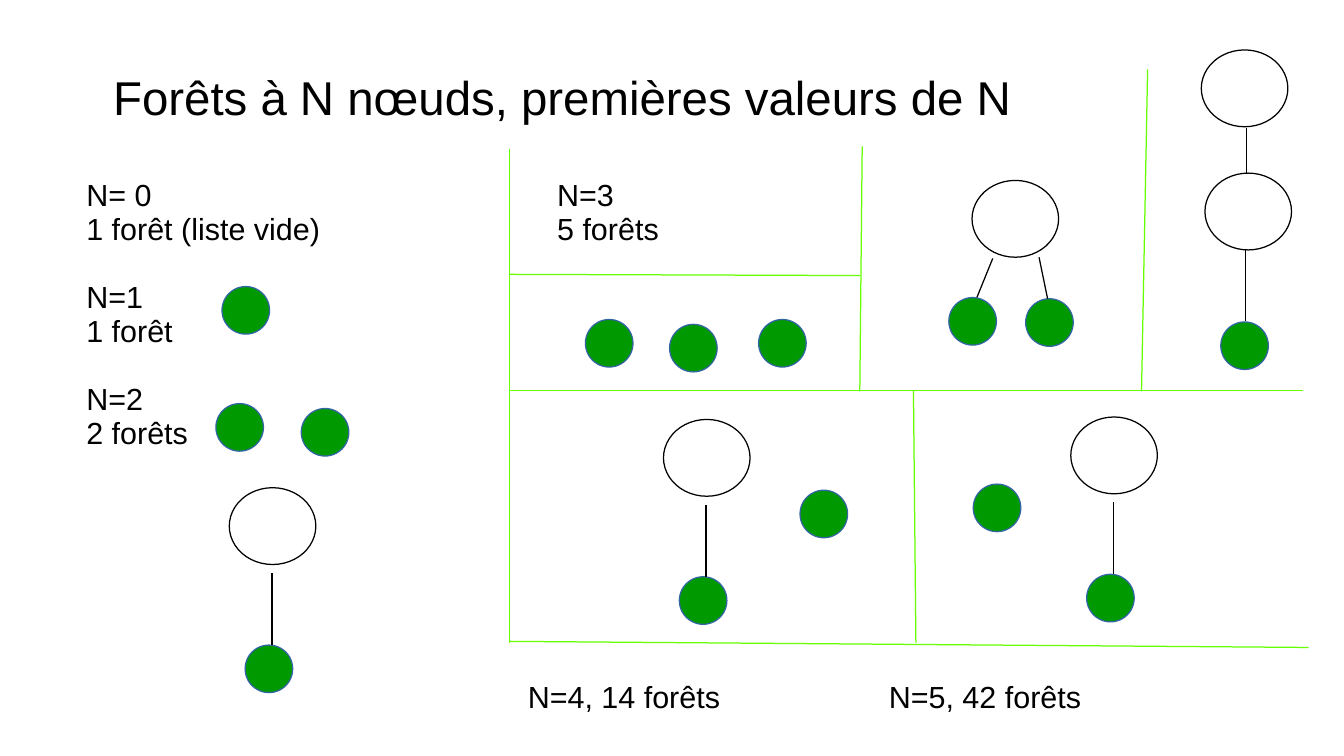
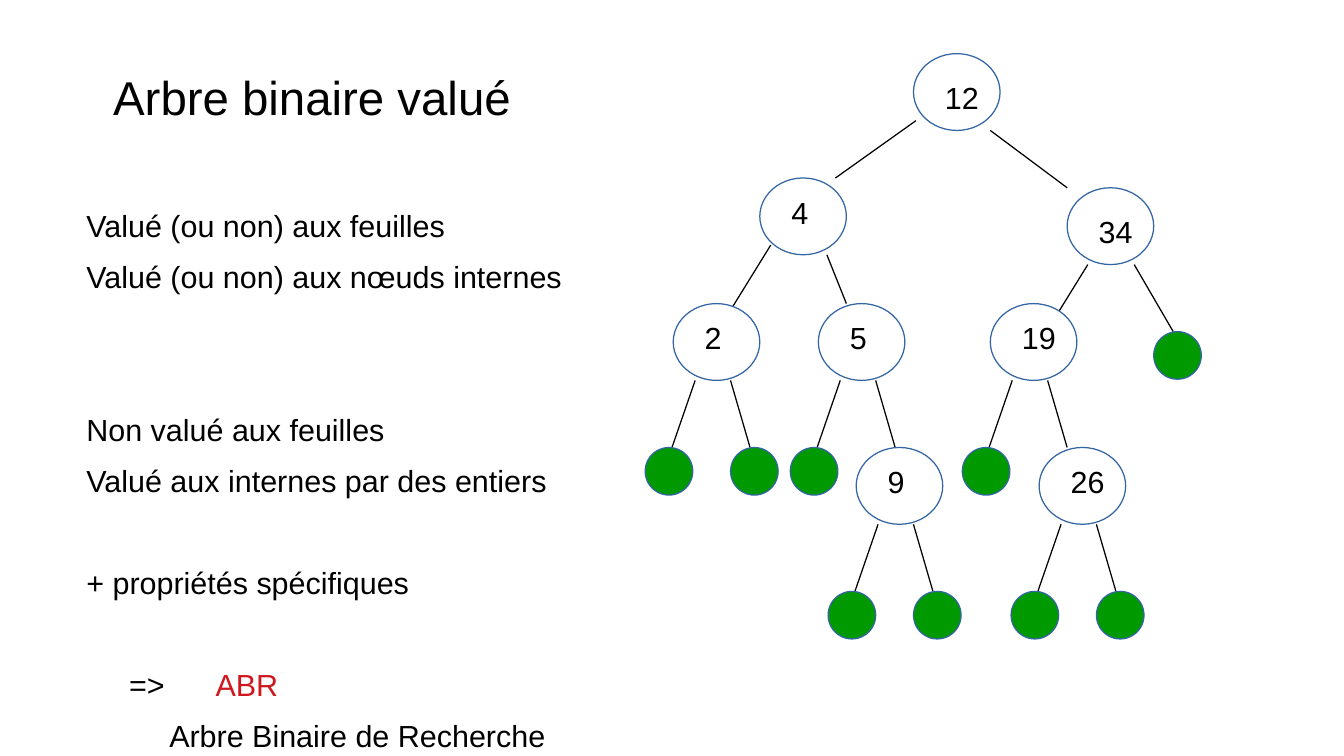
from pptx import Presentation
from pptx.dml.color import RGBColor
from pptx.enum import shapes, text
from pptx.oxml import parse_xml
from pptx.oxml.ns import nsdecls, qn
from pptx.util import Inches, Pt
from lxml import etree

HUES = {"ink": "000000", "paper": "FFFFFF", "leaf": "009900",
        "rim": "3465A4", "grid": "66FF00", "key": "CE181E"}
FONT = "Arial"
NODE = (0.71, 0.63)
LEAF = (0.39, 0.39)
MARGIN = 0.61


def hue(name):
    return RGBColor.from_string(HUES[name])


class Pad:
    """Draws on a slide, with lengths in inches from an origin."""

    def __init__(self, slide, x=0, y=0):
        self.slide, self.x, self.y = slide, x, y

    def at(self, x, y):
        return Pad(self.slide, self.x + x, self.y + y)

    def place(self, x, y):
        return Inches(self.x + x), Inches(self.y + y)

    def line(self, x1, y1, x2, y2, color="ink"):
        link = self.slide.shapes.add_connector(
            shapes.MSO_CONNECTOR.STRAIGHT, *self.place(x1, y1), *self.place(x2, y2))
        link.line.color.rgb = hue(color)
        link.line.width = Pt(0.75)
        props = link._element.find(qn("p:spPr"))
        props.append(parse_xml(f"<a:effectLst {nsdecls('a')}/>"))

    def disc(self, x, y, size, fill, rim):
        oval = self.slide.shapes.add_shape(
            shapes.MSO_SHAPE.OVAL, *self.place(x, y), *map(Inches, size))
        oval.shadow.inherit = False
        oval.fill.solid()
        oval.fill.fore_color.rgb = hue(fill)
        oval.line.color.rgb = hue(rim)
        oval.line.width = Pt(0.75)

    def leaf(self, x, y):
        self.disc(x, y, LEAF, "leaf", "rim")

    def node(self, x, y, rim="ink"):
        self.disc(x, y, NODE, "paper", rim)

    def words(self, x, y, w, h, paras, size=18, pitch=0.93, top=0.08):
        """Each paragraph is (runs, space before, tab stops)."""
        box = self.slide.shapes.add_textbox(
            *self.place(x, y), Inches(w), Inches(h))
        frame = box.text_frame
        frame.word_wrap = True
        frame.vertical_anchor = text.MSO_ANCHOR.TOP
        frame.margin_left = frame.margin_right = Inches(0.1)
        frame.margin_top, frame.margin_bottom = Inches(top), Inches(0.05)
        for i, (runs, gap, tabs) in enumerate(paras):
            para = frame.add_paragraph() if i else frame.paragraphs[0]
            para.line_spacing = pitch
            if gap:
                para.space_before = Pt(gap)
            if tabs:
                stops = etree.SubElement(para._p.get_or_add_pPr(), qn("a:tabLst"))
                for tab in tabs:
                    etree.SubElement(stops, qn("a:tab"), pos=str(Inches(tab)), algn="l")
            for part, color in runs:
                run = para.add_run()
                run.text = part
                run.font.name, run.font.size = FONT, Pt(size)
                run.font.color.rgb = hue(color)


def plain(part, gap=0, tabs=()):
    return [(part, "ink")], gap, tabs


def title(pad, words):
    pad.words(MARGIN + 0.22, 0.52, 8.17, 0.6, [plain(words)], size=28)


# Forest slide
def stem(pad):
    """One inner node above one leaf."""
    pad.node(0, 0)
    pad.leaf(0.13, 1.29)
    pad.line(0.35, 0.7, 0.35, 1.29)


def small(pad):
    """Left column: N from 0 to 2."""
    rows = [("N= 0", 0), ("1 forêt (liste vide)", 0), ("N=1", 20),
            ("1 forêt", 0), ("N=2", 20), ("2 forêts", 0)]
    pad.words(0, 0, 3.4, 2.5, [plain(*row) for row in rows])
    for x, y in [(1.21, 0.96), (1.16, 1.92), (1.86, 1.96)]:
        pad.leaf(x, y)
    stem(pad.at(1.27, 2.61))


def three(pad):
    """Green grid with the five forests of N=3."""
    for ends in [(0, 2, 6.5, 2), (3.31, 2, 3.33, 4.07), (2.87, 2.01, 2.89, 0),
                 (5.18, 2.01, 5.23, -0.63), (0, 0.02, 0, 4.07),
                 (6.55, 4.11, 0, 4.06), (0, 1.05, 2.87, 1.06)]:
        pad.line(*ends, color="grid")
    pad.words(0.29, 0.19, 2, 0.7, [plain("N=3"), plain("5 forêts")])
    # Three leaves
    for x, y in [(0.62, 1.42), (1.31, 1.46), (2.04, 1.42)]:
        pad.leaf(x, y)
    # Node with two leaves
    pad.node(3.79, 0.28)
    pad.leaf(3.6, 1.24)
    pad.leaf(4.23, 1.25)
    pad.line(3.96, 0.92, 3.83, 1.24)
    pad.line(4.34, 0.91, 4.41, 1.25)
    # Chain
    pad.node(5.67, -0.79)
    pad.node(5.7, 0.22)
    pad.leaf(5.83, 1.44)
    pad.line(6.04, -0.15, 6.04, 0.22)
    pad.line(6.03, 0.85, 6.03, 1.43)
    # Stem and leaf, in both orders
    stem(pad.at(1.26, 2.24))
    pad.leaf(2.38, 2.82)
    stem(pad.at(4.6, 2.22))
    pad.leaf(3.8, 2.77)


def forests(slide):
    pad = Pad(slide)
    title(pad, "Forêts à N nœuds, premières valeurs de N")
    small(pad.at(MARGIN, 1.39))
    three(pad.at(4.18, 1.2))
    for x, words in [(4.23, "N=4, 14 forêts"), (7.19, "N=5, 42 forêts")]:
        pad.words(x, 5.52, 2.6, 0.38, [plain(words)], top=0.07)


# Binary tree slide
def inner(pad, value, drop=0.08):
    pad.node(0, 0, "rim")
    pad.words(0.16, drop, 0.55, 0.38, [plain(value)], pitch=1, top=0.05)


def fork(pad, value, right=None, shift=0):
    """Inner node with a left leaf, and a leaf or a fork on the right."""
    inner(pad, value)
    pad.line(0.18, 0.63, -0.01, 1.18)
    pad.line(0.47, 0.63, 0.63, 1.18)
    pad.leaf(-0.23, 1.18)
    if right:
        fork(pad.at(shift, 1.18), right)
    else:
        pad.leaf(0.47, 1.18)


def tree(pad):
    inner(pad.at(2.2, 0), "12", 0.16)
    inner(pad.at(0.94, 1.02), "4")
    inner(pad.at(3.46, 1.1), "34", 0.16)
    for ends in [(2.22, 0.55, 1.56, 1.02), (2.83, 0.63, 3.46, 1.1),
                 (1.03, 1.57, 0.69, 2.12), (1.49, 1.65, 1.65, 2.05),
                 (3.63, 1.73, 3.29, 2.28), (4.01, 1.73, 4.33, 2.28)]:
        pad.line(*ends)
    pad.leaf(4.17, 2.28)
    fork(pad.at(0.23, 2.05), "2")
    fork(pad.at(1.42, 2.05), "5", "9", 0.31)
    fork(pad.at(2.83, 2.05), "19", "26", 0.4)


def facts(pad):
    pad.words(0, 0, 4.26, 4.6, [
        plain("Valué (ou non) aux feuilles"),
        plain("Valué (ou non) aux nœuds internes"),
        plain("Non valué aux feuilles", 60),
        plain("Valué aux internes par des entiers"),
        plain("+ propriétés spécifiques", 30),
        ([("\t=>\t", "ink"), ("ABR", "key")], 30, (0.35, 1.06)),
        plain("\tArbre Binaire de Recherche", 0, (0.68,)),
    ], pitch=1.4)


def binary(slide):
    pad = Pad(slide)
    title(pad, "Arbre binaire valué")
    facts(pad.at(MARGIN, 1.5))
    tree(pad.at(5.29, 0.44))


def main():
    deck = Presentation()
    deck.slide_width, deck.slide_height = Inches(11.02), Inches(6.2)
    for build in (forests, binary):
        build(deck.slides.add_slide(deck.slide_layouts[6]))
    deck.save("out.pptx")


if __name__ == "__main__":
    main()
